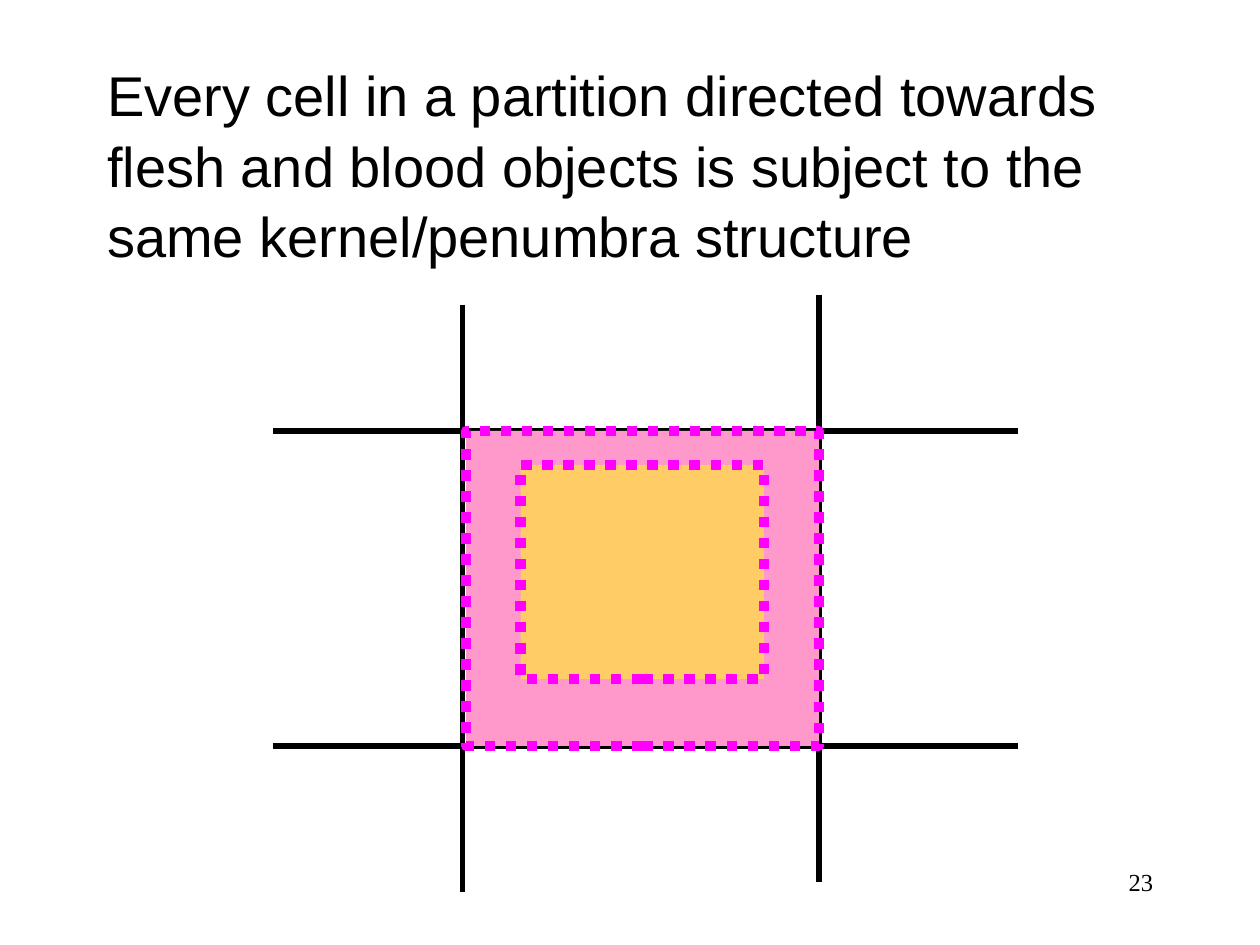
import pptx
import pptx.util
import pptx.dml.color
import pptx.enum.dml
import pptx.enum.shapes
import pptx.enum.text
import pptx.oxml.ns
import lxml.etree

WIDE, HIGH = 10, 7.5
INK, PINK, GOLD, EDGE = "000000", "FF99CC", "FFFF00", "FF00FF"
ALIGN = pptx.enum.text.PP_ALIGN
ANCHOR = pptx.enum.text.MSO_ANCHOR
inch = pptx.util.Inches


def color(code):
    return pptx.dml.color.RGBColor.from_string(code)


def sub(node, tag, **attrs):
    return lxml.etree.SubElement(node, pptx.oxml.ns.qn(tag), attrs)


def set_all(item, values):
    for name, value in values.items():
        setattr(item, name, value)


def write(shape, text, size, face, align, anchor, space=1.0):
    """Fill a text shape with one formatted paragraph."""
    frame = shape.text_frame
    frame.text = text
    set_all(frame, {"word_wrap": True, "vertical_anchor": anchor,
                    "auto_size": pptx.enum.text.MSO_AUTO_SIZE.NONE})
    para = frame.paragraphs[0]
    set_all(para, {"alignment": align, "line_spacing": space})
    font = para.runs[0].font
    set_all(font, {"size": pptx.util.Pt(size), "name": face})
    font.color.rgb = color(INK)


def add_title(slide, box, text):
    title = slide.shapes.title
    set_all(title, dict(zip(("left", "top", "width", "height"), map(inch, box))))
    write(title, text, 32, "Arial", ALIGN.LEFT, ANCHOR.MIDDLE, 1.05)


def add_rule(slide, start, end):
    rule = slide.shapes.add_connector(
        pptx.enum.shapes.MSO_CONNECTOR.STRAIGHT, *map(inch, start + end))
    rule.line.color.rgb = color(INK)
    rule.line.width = pptx.util.Pt(3)
    sub(rule._element.spPr, "a:effectLst")


def add_grid(slide, box, cols, rows, shift):
    """Draw the partition lines; each column starts a little higher."""
    left, top, width, height = box
    for row in rows:
        add_rule(slide, (left, row), (left + width, row))
    for i, col in enumerate(cols):
        head = top - i * shift
        add_rule(slide, (col, head), (col, head + height))


def add_zone(group, box, fill, alpha=100):
    zone = group.shapes.add_shape(
        pptx.enum.shapes.MSO_SHAPE.RECTANGLE, *map(inch, box))
    zone.shadow.inherit = False
    zone.fill.solid()
    zone.fill.fore_color.rgb = color(fill)
    if alpha < 100:
        tint = zone._element.spPr.find(".//" + pptx.oxml.ns.qn("a:srgbClr"))
        sub(tint, "a:alpha", val=str(alpha * 1000))
    zone.line.color.rgb = color(EDGE)
    set_all(zone.line, {"width": pptx.util.Pt(6),
                        "dash_style": pptx.enum.dml.MSO_LINE.ROUND_DOT})


def add_cell(slide, box):
    """Draw the penumbra with its kernel inside."""
    left, top, width, height = box
    group = slide.shapes.add_group_shape()
    add_zone(group, box, PINK)
    kernel = (left + 0.154 * width, top + 0.108 * height,
              0.69 * width, 0.68 * height)
    add_zone(group, kernel, GOLD, 50)


def add_number(slide, box, text):
    label = slide.shapes.add_textbox(*map(inch, box))
    write(label, text, 14, "Times New Roman", ALIGN.RIGHT, ANCHOR.TOP)


def main():
    deck = pptx.Presentation()
    set_all(deck, {"slide_width": inch(WIDE), "slide_height": inch(HIGH)})
    slide = deck.slides.add_slide(deck.slide_layouts[5])

    # Heading
    add_title(slide, (0.075 * WIDE, 0.67, 0.85 * WIDE, 1.25),
              "Every cell in a partition directed towards flesh and blood "
              "objects is subject to the same kernel/penumbra structure")

    # Partition and its central cell
    cols, rows = (3.67, 6.5), (3.42, 5.92)
    add_grid(slide, (2.17, 2.42, 5.91, 4.66), cols, rows, 0.08)
    left = cols[0] + 0.03
    add_cell(slide, (left, rows[0], cols[1] - left, rows[1] - rows[0]))

    # Page number
    add_number(slide, (7.17, 6.83, 2.08, 0.5), "23")
    deck.save("out.pptx")


if __name__ == "__main__":
    main()
